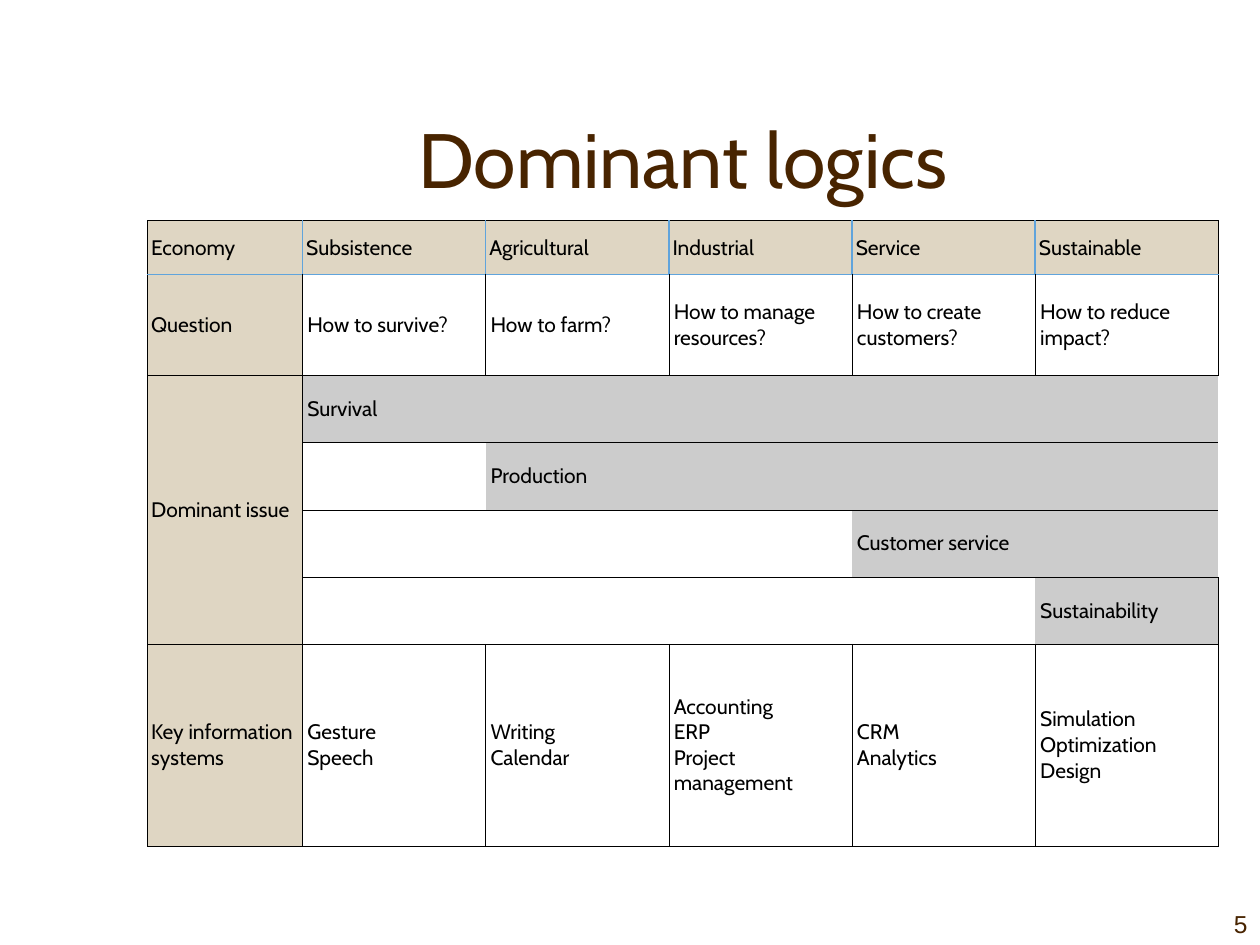
from lxml.etree import SubElement
from pptx import Presentation
from pptx.dml.color import RGBColor
from pptx.enum.text import MSO_ANCHOR, MSO_AUTO_SIZE, PP_ALIGN
from pptx.oxml import parse_xml
from pptx.oxml.ns import nsdecls, qn
from pptx.util import Inches, Pt

COLORS = {"brown": "482400", "black": "000000", "blue": "60A4DC",
          "sand": "DFD6C3", "gray": "CCCCCC", "white": "FFFFFF"}
LEFT, TOP, WIDTH = 1.17, 1.75, 8.5
HEAD_W, HEAD_H, UNIT = 1.23, 0.43, 1.6 / 3
ROW_UNITS = [1.5, 1, 1, 1, 1, 3]
ISSUE_ROWS = range(2, 6)

# "\n" starts a paragraph, "\v" breaks a line within one
ROWS = {
    0: ["Economy", "Subsistence", "Agricultural", "Industrial", "Service", "Sustainable"],
    1: ["Question", "How to survive?", "How to farm?", "How to manage resources?",
        "How to create customers?", "How to reduce impact?"],
    6: ["Key information systems", "Gesture\vSpeech", "Writing\nCalendar",
        "Accounting\nERP\nProject management", "CRM\nAnalytics",
        "Simulation\nOptimization\nDesign"],
}
# row: (first column of the bar, label); each bar runs to the last column
ISSUES = {2: (1, "Survival"), 3: (2, "Production"),
          4: (4, "Customer service"), 5: (5, "Sustainability")}


def write(tf, text, size, font, color, align=PP_ALIGN.LEFT):
    for i, para in enumerate(text.split("\n")):
        p = tf.paragraphs[0] if i == 0 else tf.add_paragraph()
        p.alignment = align
        for j, line in enumerate(para.split("\v")):
            if j:
                p.add_line_break()
            r = p.add_run()
            r.text = line
            r.font.size, r.font.name = Pt(size), font
            r.font.color.rgb = RGBColor.from_string(COLORS[color])


def set_borders(cell, edges):
    """Draw left, right, top and bottom edges; None leaves an edge empty."""
    tcPr = cell._tc.get_or_add_tcPr()
    for i, (side, color) in enumerate(zip("LRTB", edges)):
        width = Pt(1) if color == "blue" else Pt(0.25)
        ln = parse_xml(f'<a:ln{side} {nsdecls("a")} w="{int(width)}"/>')
        if color:
            fill = SubElement(ln, qn("a:solidFill"))
            SubElement(fill, qn("a:srgbClr"), val=COLORS[color])
        else:
            SubElement(ln, qn("a:noFill"))
        tcPr.insert(i, ln)


prs = Presentation()
prs.slide_width, prs.slide_height = Inches(10), Inches(7.5)
s = prs.slides.add_slide(prs.slide_layouts[5])

title = s.shapes.title
title.left, title.top = Inches(LEFT), Inches(0.42)
title.width, title.height = Inches(WIDTH), Inches(1.25)
tf = title.text_frame
tf.auto_size = MSO_AUTO_SIZE.NONE
tf.vertical_anchor = MSO_ANCHOR.BOTTOM
write(tf, "Dominant logics", 44, "Cabin", "brown", PP_ALIGN.CENTER)

sp = s.shapes.add_textbox(Inches(9), Inches(7), Inches(1), Inches(0.5))
tf = sp.text_frame
tf.word_wrap = True
tf.vertical_anchor = MSO_ANCHOR.BOTTOM
write(tf, "5", 14, "Arial", "brown", PP_ALIGN.RIGHT)

height = HEAD_H + UNIT * sum(ROW_UNITS)
table = s.shapes.add_table(7, 6, Inches(LEFT), Inches(TOP),
                           Inches(WIDTH), Inches(height)).table
table.first_row = table.horz_banding = False
for c, col in enumerate(table.columns):
    col.width = Inches(HEAD_W if c == 0 else (WIDTH - HEAD_W) / 5)
for row, h in zip(table.rows, [HEAD_H] + [UNIT * n for n in ROW_UNITS]):
    row.height = Inches(h)

texts = {(r, c): text for r, row in ROWS.items() for c, text in enumerate(row)}
texts[2, 0] = "Dominant issue"
texts.update({(r, c): text for r, (c, text) in ISSUES.items()})

for r in range(7):
    for c in range(6):
        cell = table.cell(r, c)
        is_head = r == 0 or c == 0
        is_bar = r in ISSUES and c >= ISSUES[r][0]
        fill = "sand" if is_head else "gray" if is_bar else "white"
        cell.fill.solid()
        cell.fill.fore_color.rgb = RGBColor.from_string(COLORS[fill])
        cell.vertical_anchor = MSO_ANCHOR.MIDDLE
        inset = Inches(0.03 if is_head else 0.04)
        cell.margin_left = cell.margin_right = inset
        cell.margin_top = cell.margin_bottom = inset

        sides = ["blue" if r == 0 and 0 < x < 6
                 else None if r in ISSUE_ROWS and 1 < x < 6
                 else "black" for x in (c, c + 1)]
        levels = ["blue" if y == 1
                  else None if c == 0 and 2 < y < 6
                  else "black" for y in (r, r + 1)]
        set_borders(cell, sides + levels)
        if (r, c) in texts:
            write(cell.text_frame, texts[r, c], 12, "Cabin", "black")
        else:
            cell.text_frame.paragraphs[0].font.size = Pt(12)

table.cell(2, 0).merge(table.cell(5, 0))
for r, (c, _) in ISSUES.items():
    if c < 5:
        table.cell(r, c).merge(table.cell(r, 5))

prs.save("out.pptx")
